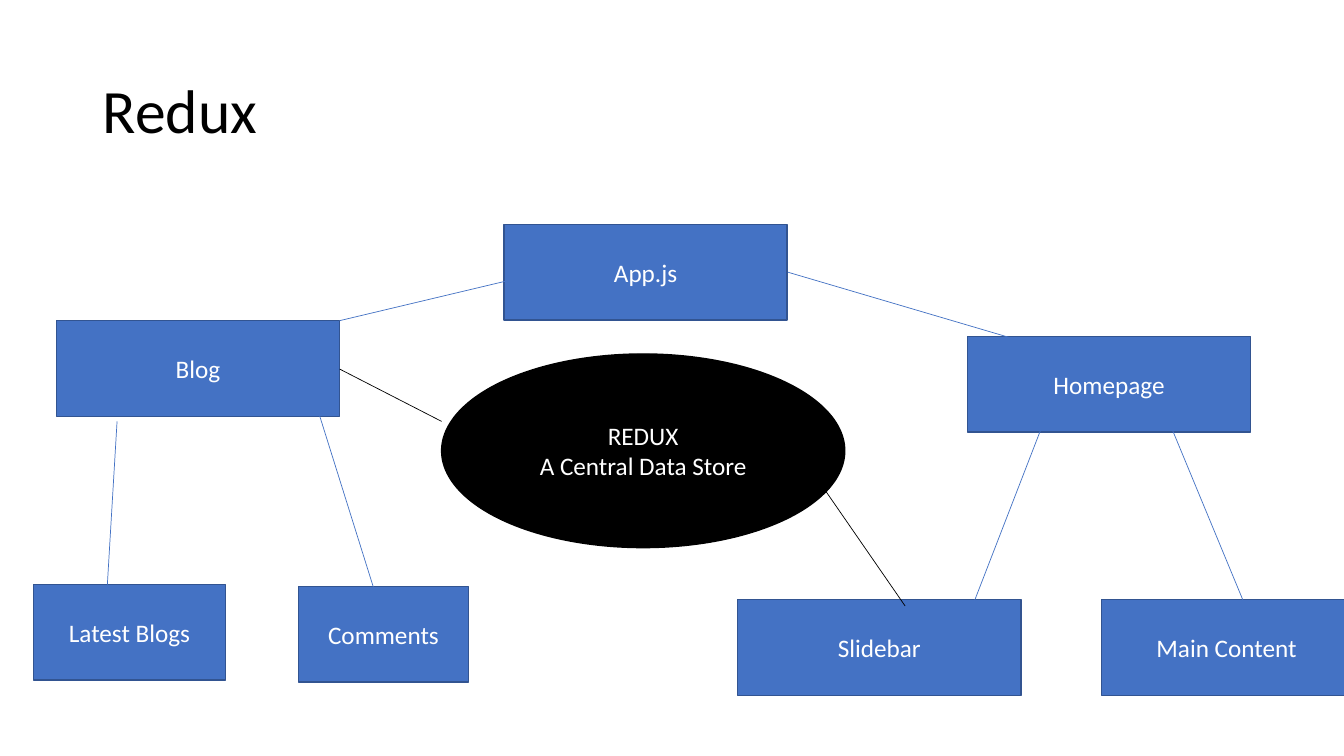
from dataclasses import dataclass

from lxml import etree
from pptx import Presentation
from pptx.dml.color import RGBColor
from pptx.enum.shapes import MSO_CONNECTOR, MSO_SHAPE
from pptx.enum.text import MSO_ANCHOR, MSO_AUTO_SIZE, PP_ALIGN
from pptx.oxml.ns import qn
from pptx.util import Cm, Pt

RECT, OVAL = MSO_SHAPE.RECTANGLE, MSO_SHAPE.OVAL
STRAIGHT = MSO_CONNECTOR.STRAIGHT
MIDDLE = MSO_ANCHOR.MIDDLE
LEFT, CENTER = PP_ALIGN.LEFT, PP_ALIGN.CENTER
NO_FIT = MSO_AUTO_SIZE.NONE


@dataclass(frozen=True)
class Theme:
    font: str = "Calibri"
    blue: RGBColor = RGBColor(0x44, 0x72, 0xC4)
    edge: RGBColor = RGBColor(0x32, 0x54, 0x91)
    black: RGBColor = RGBColor(0, 0, 0)
    white: RGBColor = RGBColor(255, 255, 255)
    head: Pt = Pt(44)
    label: Pt = Pt(18)
    border: Pt = Pt(1)
    link: Pt = Pt(0.5)


THEME = Theme()
WIDE, HIGH = 7.14, 2.41

BOXES = [
    ("App.js", 12.7, 5.66, WIDE),
    ("Blog", 1.42, 8.08, WIDE),
    ("Homepage", 24.38, 8.48, WIDE),
    ("Latest Blogs", 0.84, 14.73, 4.85),
    ("Comments", 7.52, 14.78, 4.29),
    ("Slidebar", 18.59, 15.11, WIDE),
    ("Main Content", 27.76, 15.11, 6.3),
]
TREE_LINKS = [
    (8.56, 8.08, 13.69, 6.86),
    (2.69, 14.99, 2.95, 10.62),
    (9.47, 14.99, 8.05, 10.46),
    (25.73, 8.59, 19.86, 6.86),
    (24.43, 15.47, 26.37, 10.46),
    (31.55, 15.67, 29.54, 10.82),
]
STORE_LINKS = [
    (8.56, 9.3, 11.13, 10.62),
    (22.81, 15.27, 20.75, 12.29),
]


def write(frame, text, size, color, align):
    frame.text = text
    frame.word_wrap = True
    frame.vertical_anchor = MIDDLE
    for para in frame.paragraphs:
        para.alignment = align
        para.font.name = THEME.font
        para.font.size = size
        para.font.color.rgb = color


def add_title(slide, text):
    title = slide.shapes.title
    title.left, title.top = Cm(2.34), Cm(1.02)
    title.width, title.height = Cm(29.21), Cm(3.68)
    frame = title.text_frame
    write(frame, text, THEME.head, THEME.black, LEFT)
    frame.auto_size = NO_FIT
    frame.paragraphs[0].line_spacing = 0.9


def add_node(slide, kind, text, place, fill, edge):
    node = slide.shapes.add_shape(kind, *map(Cm, place))
    node.shadow.inherit = False
    node.fill.solid()
    node.fill.fore_color.rgb = fill
    node.line.color.rgb = edge
    node.line.width = THEME.border
    write(node.text_frame, text, THEME.label, THEME.white, CENTER)


def add_link(slide, ends, color):
    link = slide.shapes.add_connector(STRAIGHT, *map(Cm, ends))
    link.line.color.rgb = color
    link.line.width = THEME.link
    etree.SubElement(link._element.spPr, qn("a:effectLst"))


def main():
    deck = Presentation()
    deck.slide_width, deck.slide_height = Cm(33.87), Cm(19.05)
    slide = deck.slides.add_slide(deck.slide_layouts[5])
    add_title(slide, "Redux")
    for text, left, top, width in BOXES:
        add_node(slide, RECT, text, (left, top, width, HIGH), THEME.blue, THEME.edge)
    store = (11.13, 8.92, 10.16, 4.88)
    add_node(slide, OVAL, "REDUX\nA Central Data Store", store, THEME.black, THEME.black)
    for links, color in ((TREE_LINKS, THEME.blue), (STORE_LINKS, THEME.black)):
        for ends in links:
            add_link(slide, ends, color)
    deck.save("out.pptx")


main()
